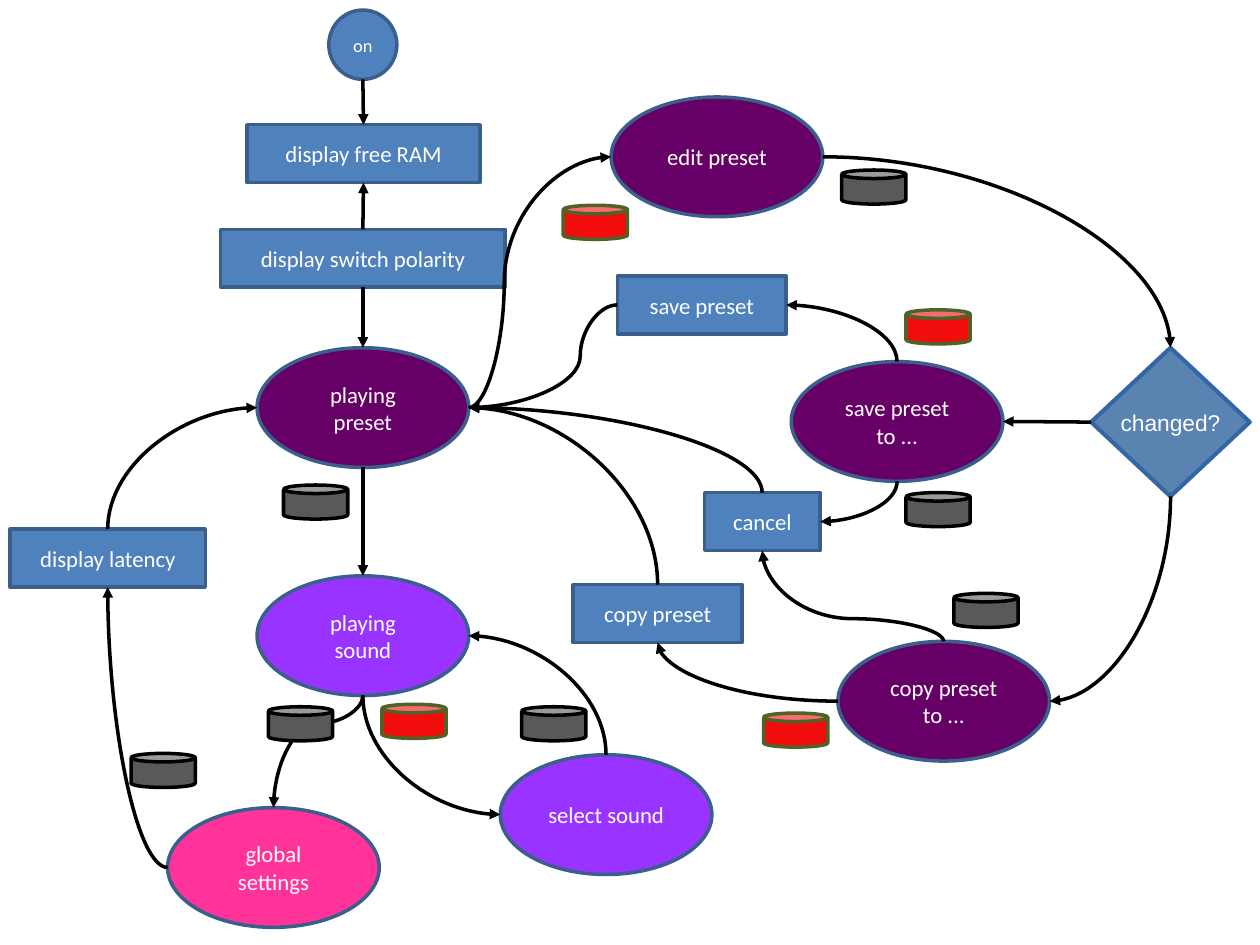
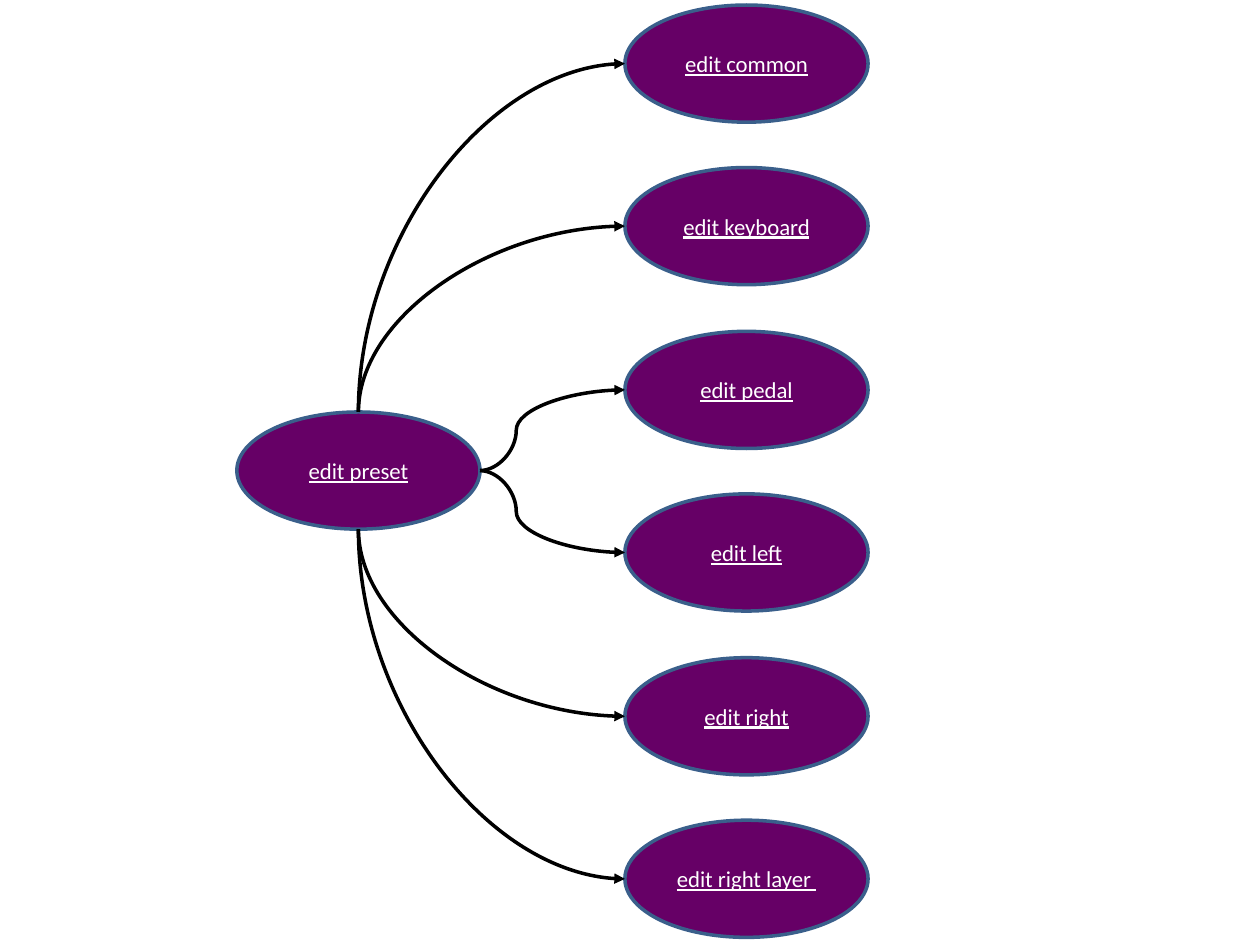
"""Builds two state diagrams: the main preset flow and the preset editor."""
from dataclasses import dataclass
from enum import IntEnum
from typing import NamedTuple

from pptx import Presentation
from pptx import util as u
from pptx.dml.color import RGBColor
from pptx.enum import shapes, text
from pptx.oxml import parse_xml
from pptx.oxml.ns import nsdecls, qn
from pptx.oxml.xmlchemy import OxmlElement

PX = 9144
KIND = shapes.MSO_SHAPE
LINK = shapes.MSO_CONNECTOR


class Side(IntEnum):
    """Middle of a shape's side, numbered as connection sites."""
    TOP = 0
    LEFT = 1
    BOTTOM = 2
    RIGHT = 3


T, L, B, R = Side


@dataclass(frozen=True)
class Theme:
    """Colours, fonts and sizes of both slides."""
    blue: str = "4F81BD"
    edge: str = "3A5F8B"
    steel: str = "5983B0"
    navy: str = "3465A4"
    plum: str = "660066"
    violet: str = "9933FF"
    pink: str = "FF3399"
    grey: str = "595959"
    red: str = "F10D0C"
    olive: str = "4F6228"
    black: str = "000000"
    white: str = "FFFFFF"
    font: str = "Calibri"
    alt: str = "Arial"
    body: float = 13
    small: float = 10.5
    line: float = 2
    thick: float = 2.3


LOOK = Theme()


@dataclass(frozen=True)
class Node:
    """A labelled state, step or choice."""
    label: str
    x: int
    y: int
    w: int
    h: int
    fill: str = LOOK.blue
    kind: int = KIND.RECTANGLE
    edge: str = LOOK.edge
    line: float = LOOK.line
    font: str = LOOK.font
    size: float = LOOK.body
    inset: tuple[int, int] = (10, 5)
    wrap: bool = True
    under: bool = False


class Flow(NamedTuple):
    """An arrow from a side of one node to a side of another."""
    src: str
    out: Side
    dst: str
    into: Side


class Can(NamedTuple):
    """A foot switch: grey or red."""
    x: int
    y: int
    red: bool = False


def step(label: str, x: int, y: int, w: int) -> Node:
    """Return a blue step box."""
    return Node(label, x, y, w, 46)


def state(label: str, x: int, y: int, fill: str = LOOK.plum) -> Node:
    """Return an oval state."""
    return Node(label, x, y, 168, 95, fill, KIND.FLOWCHART_CONNECTOR)


def edit(label: str, x: int, y: int) -> Node:
    """Return an oval editor state with underlined text."""
    return Node(label, x, y, 193, 93, LOOK.plum, KIND.FLOWCHART_CONNECTOR,
                under=True)


MAIN = [
    Node("on", 261, 8, 54, 55, kind=KIND.FLOWCHART_CONNECTOR,
         size=LOOK.small, inset=(5, 5)),
    step("display free RAM", 196, 99, 185),
    step("display switch polarity", 175, 182, 226),
    step("display latency", 8, 420, 155),
    step("save preset", 490, 219, 134),
    step("copy preset", 455, 464, 134),
    step("cancel", 559, 391, 92),
    state("playing preset", 204, 276),
    state("edit preset", 485, 77),
    state("save preset to ...", 628, 287),
    state("copy preset to ...", 665, 509),
    state("playing sound", 204, 457, LOOK.violet),
    state("select sound", 397, 599, LOOK.violet),
    state("global settings", 133, 641, LOOK.pink),
    Node("changed?", 866, 276, 126, 118, LOOK.steel, KIND.DIAMOND, LOOK.navy,
         LOOK.thick, LOOK.alt, inset=(11, 6), wrap=False),
]

FLOWS = [
    Flow("on", B, "display free RAM", T),
    Flow("display switch polarity", T, "display free RAM", B),
    Flow("display switch polarity", B, "playing preset", T),
    Flow("playing preset", B, "playing sound", T),
    Flow("playing sound", B, "global settings", T),
    Flow("global settings", L, "display latency", B),
    Flow("display latency", T, "playing preset", L),
    Flow("playing sound", B, "select sound", L),
    Flow("select sound", T, "playing sound", R),
    Flow("playing preset", R, "edit preset", L),
    Flow("edit preset", R, "changed?", T),
    Flow("changed?", L, "save preset to ...", R),
    Flow("changed?", B, "copy preset to ...", R),
    Flow("save preset to ...", T, "save preset", R),
    Flow("save preset to ...", B, "cancel", R),
    Flow("copy preset to ...", T, "cancel", B),
    Flow("copy preset to ...", L, "copy preset", B),
    Flow("save preset", L, "playing preset", R),
    Flow("cancel", T, "playing preset", R),
    Flow("copy preset", T, "playing preset", R),
]

CANS = [
    Can(225, 385), Can(213, 561), Can(104, 598), Can(414, 561),
    Can(668, 135), Can(719, 391), Can(757, 471),
    Can(447, 163, True), Can(719, 246, True), Can(606, 566, True),
    Can(303, 559, True),
]

PARTS = [("edit common", T), ("edit keyboard", T), ("edit pedal", R),
         ("edit left", R), ("edit right", B), ("edit right layer ", B)]
PITCH = 129.4


def paint(shape, fill: str, edge: str, width: float) -> None:
    """Give a shape a flat fill and an outline."""
    shape.shadow.inherit = False
    shape.fill.solid()
    shape.fill.fore_color.rgb = RGBColor.from_string(fill)
    shape.line.color.rgb = RGBColor.from_string(edge)
    shape.line.width = u.Pt(width)


def put(slide, kind: int, x: int, y: int, w: int, h: int):
    """Add a preset shape placed in px."""
    return slide.shapes.add_shape(kind, *(v * PX for v in (x, y, w, h)))


def draw(slide, node: Node):
    """Draw a node with its label and return the shape."""
    shape = put(slide, node.kind, node.x, node.y, node.w, node.h)
    paint(shape, node.fill, node.edge, node.line)
    frame = shape.text_frame
    frame.text = node.label
    frame.word_wrap = node.wrap
    frame.vertical_anchor = text.MSO_ANCHOR.MIDDLE
    frame.margin_left = frame.margin_right = node.inset[0] * PX
    frame.margin_top = frame.margin_bottom = node.inset[1] * PX
    para = frame.paragraphs[0]
    para.alignment = text.PP_ALIGN.CENTER
    font = para.runs[0].font
    font.name, font.size = node.font, u.Pt(node.size)
    font.color.rgb = RGBColor.from_string(LOOK.white)
    if node.under:
        font.underline = True
    return shape


def bend(line, flow: Flow) -> None:
    """Turn a joined line into a curve that leaves and enters square on."""
    x, y = line.begin_x, line.begin_y
    dx, dy = line.end_x - x, line.end_y - y
    props = line._element.spPr
    upright = flow.out in (T, B)
    wide, high = (abs(dy), abs(dx)) if upright else (abs(dx), abs(dy))
    flips = (dy < 0, dx > 0) if upright else (dx < 0, dy < 0)
    line.left = x + (dx - wide) // 2
    line.top = y + (dy - high) // 2
    line.width, line.height = wide, high
    form = props.find(qn("a:xfrm"))
    form.set("rot", "5400000" if upright else "0")
    for key, flip in zip(("flipH", "flipV"), flips):
        form.set(key, str(int(flip)))
    shape = props.find(qn("a:prstGeom"))
    if upright != (flow.into in (T, B)):
        shape.set("prst", "curvedConnector2")
    else:
        guide = OxmlElement("a:gd")
        guide.set("name", "adj1")
        guide.set("fmla", "val 25000")
        shape.find(qn("a:avLst")).append(guide)


def join(slide, nodes: dict, flow: Flow) -> None:
    """Draw an arrow, straight where its ends line up and curved elsewhere."""
    src, dst = nodes[flow.src], nodes[flow.dst]
    line = slide.shapes.add_connector(LINK.CURVE, 0, 0, 0, 0)
    line.begin_connect(src, flow.out)
    line.end_connect(dst, flow.into)
    ends = (("a:stCxn", src, flow.out), ("a:endCxn", dst, flow.into))
    for tag, shape, side in ends:
        if shape.auto_shape_type == KIND.FLOWCHART_CONNECTOR:
            site = next(line._element.iter(qn(tag)))
            site.set("idx", str(2 * side))
    gap = min(abs(line.end_x - line.begin_x), abs(line.end_y - line.begin_y))
    props = line._element.spPr
    if gap < 2 * PX:
        props.find(qn("a:prstGeom")).set("prst", "straightConnector1")
    else:
        bend(line, flow)
    line.line.color.rgb = RGBColor.from_string(LOOK.black)
    line.line.width = 0
    tip = parse_xml(f'<a:tailEnd {nsdecls("a")} type="triangle"/>')
    props.find(qn("a:ln")).append(tip)
    props.append(OxmlElement("a:effectLst"))


def chart(deck, nodes: list[Node], flows: list[Flow], cans: list[Can]) -> None:
    """Add a slide with nodes, arrows and foot switches."""
    slide = deck.slides.add_slide(deck.slide_layouts[6])
    drawn = {node.label: draw(slide, node) for node in nodes}
    for flow in flows:
        join(slide, drawn, flow)
    for can in cans:
        shape = put(slide, KIND.CAN, can.x, can.y, 51, 27)
        fill, edge = ((LOOK.red, LOOK.olive) if can.red
                      else (LOOK.grey, LOOK.black))
        paint(shape, fill, edge, LOOK.line)


def main() -> None:
    """Build and save the deck."""
    deck = Presentation()
    deck.slide_width, deck.slide_height = 1000 * PX, 750 * PX
    chart(deck, MAIN, FLOWS, CANS)
    hub = edit("edit preset", 188, 327)
    parts = [edit(label, 496, round(4 + PITCH * row))
             for row, (label, _) in enumerate(PARTS)]
    flows = [Flow(hub.label, out, label, L) for label, out in PARTS]
    chart(deck, [hub, *parts], flows, [])
    deck.save("out.pptx")


if __name__ == "__main__":
    main()
